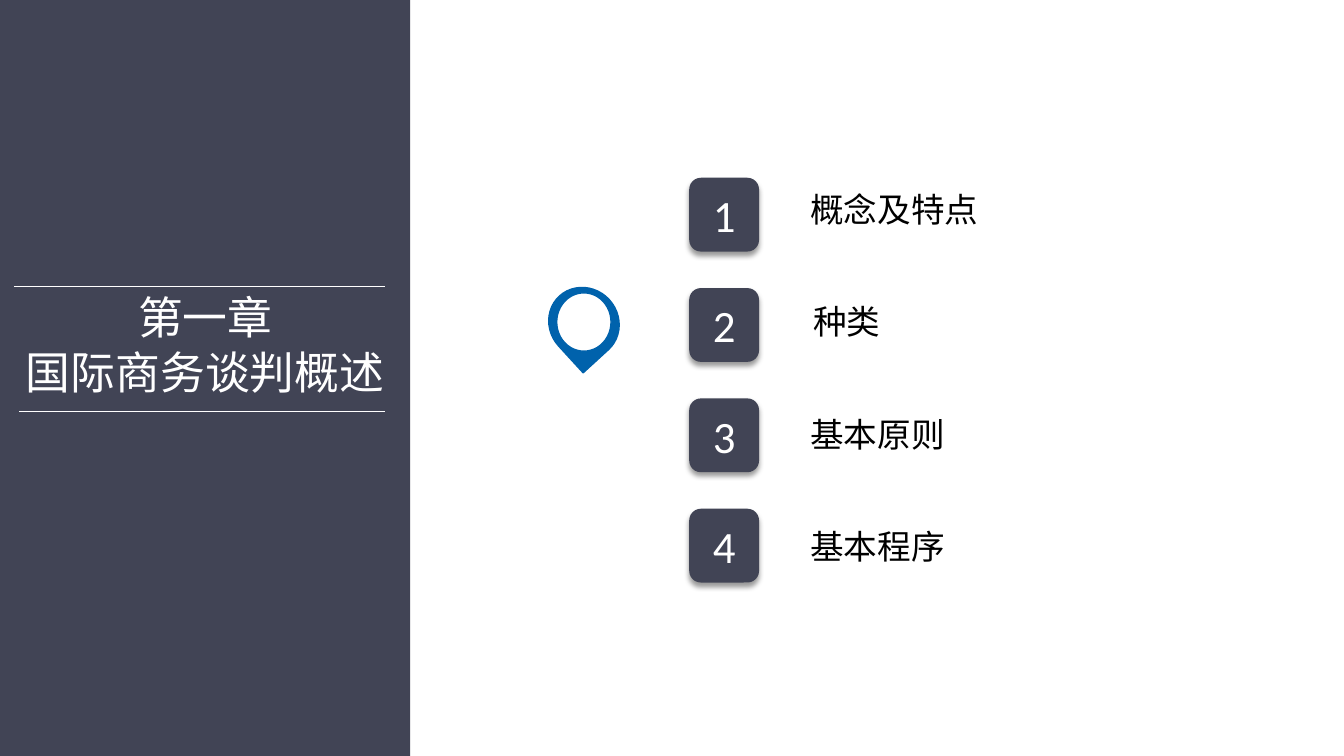
from lxml.etree import SubElement
from pptx import Presentation
from pptx.dml.color import RGBColor
from pptx.enum.shapes import MSO_CONNECTOR, MSO_SHAPE
from pptx.enum.text import MSO_ANCHOR, MSO_AUTO_SIZE, PP_ALIGN
from pptx.oxml.ns import qn
from pptx.util import Cm, Pt

SLATE = RGBColor(0x41, 0x44, 0x55)
BLUE = RGBColor(0x00, 0x62, 0xAC)
WHITE = RGBColor(0xFF, 0xFF, 0xFF)
BLACK = RGBColor(0x00, 0x00, 0x00)
CHINESE_FONT = "Noto Sans CJK SC"

TITLE_LINES = ["第一章", "国际商务谈判概述"]
TOPICS = [("概念及特点", 20.17), ("种类", 20.24), ("基本原则", 20.17), ("基本程序", 20.17)]
BADGE_TOP, BADGE_PITCH = 4.48, 2.78
LABEL_TOP, LABEL_PITCH = 4.63, 2.83


class ChapterSlide:
    def __init__(self, deck):
        self.slide = deck.slides.add_slide(deck.slide_layouts[5])
        self.shapes = self.slide.shapes

    def add_span(self, para, text, size, color, font=CHINESE_FONT):
        span = para.add_run()
        span.text = text
        span.font.size = Pt(size)
        span.font.color.rgb = color
        span.font.name = font
        SubElement(span.font._element, qn("a:ea"), typeface=CHINESE_FONT)

    def shape(self, kind, left, top, width, height, fill, outline=None):
        shape = self.shapes.add_shape(kind, Cm(left), Cm(top), Cm(width), Cm(height))
        shape.shadow.inherit = False
        shape.fill.solid()
        shape.fill.fore_color.rgb = fill
        if outline is None:
            shape.line.fill.background()
        else:
            shape.line.color.rgb = outline
            shape.line.width = Pt(1)
        return shape

    def title(self, lines, left, top, width, height):
        box = self.shapes.title
        self.shapes.element.append(box.element)  # bring in front of the panel
        box.left, box.top, box.width, box.height = Cm(left), Cm(top), Cm(width), Cm(height)
        frame = box.text_frame
        frame.word_wrap = False
        frame.auto_size = MSO_AUTO_SIZE.NONE
        frame.vertical_anchor = MSO_ANCHOR.TOP
        for index, line in enumerate(lines):
            para = frame.add_paragraph() if index else frame.paragraphs[0]
            para.alignment = PP_ALIGN.CENTER
            para.line_spacing = Pt(39)
            self.add_span(para, line, 32, WHITE, "Times New Roman")

    def rule(self, left, top, right):
        line = self.shapes.add_connector(
            MSO_CONNECTOR.STRAIGHT, Cm(left), Cm(top), Cm(right), Cm(top))
        line.line.color.rgb = WHITE
        line.line.width = Pt(0.5)
        SubElement(line._element.spPr, qn("a:effectLst"))

    def badge(self, number, left, top):
        badge = self.shape(MSO_SHAPE.ROUNDED_RECTANGLE, left, top, 1.76, 1.86, SLATE)
        effects = badge._element.spPr.find(qn("a:effectLst"))
        shadow = SubElement(effects, qn("a:outerShdw"), blurRad=str(Pt(4)),
                            dist=str(Pt(3)), dir="5400000", rotWithShape="0")
        tint = SubElement(shadow, qn("a:srgbClr"), val=str(BLACK))
        SubElement(tint, qn("a:alpha"), val="40000")
        frame = badge.text_frame
        frame.vertical_anchor = MSO_ANCHOR.MIDDLE
        para = frame.paragraphs[0]
        para.alignment = PP_ALIGN.CENTER
        self.add_span(para, str(number), 32, WHITE, "Calibri")

    def label(self, text, left, top):
        width = 0.51 + 0.85 * len(text)
        box = self.shapes.add_textbox(Cm(left), Cm(top), Cm(width), Cm(1.28))
        box.text_frame.word_wrap = False
        para = box.text_frame.paragraphs[0]
        para.alignment = PP_ALIGN.LEFT
        para.line_spacing = Pt(29)
        self.add_span(para, text, 24, BLACK)

    def pin(self):
        drop = self.shape(MSO_SHAPE.TEAR, 13.85, 7.22, 1.73, 1.83, BLUE, BLUE)
        drop.rotation = 137.5
        hole = self.shape(MSO_SHAPE.OVAL, 14.03, 7.38, 1.37, 1.47, WHITE, BLUE)
        self.shapes.add_group_shape([drop, hole])


def main():
    deck = Presentation()
    deck.slide_width, deck.slide_height = Cm(33.87), Cm(19.05)
    page = ChapterSlide(deck)
    page.shape(MSO_SHAPE.RECTANGLE, 0, 0, 10.34, 19.05, SLATE)
    page.title(TITLE_LINES, 0.36, 7.16, 9.63, 3)
    for index, (topic, left) in enumerate(TOPICS):
        page.badge(index + 1, 17.37, BADGE_TOP + index * BADGE_PITCH)
        page.label(topic, left, LABEL_TOP + index * LABEL_PITCH)
    page.pin()
    page.rule(0.36, 7.22, 9.7)
    page.rule(0.48, 10.36, 9.7)
    deck.save("out.pptx")


if __name__ == "__main__":
    main()
